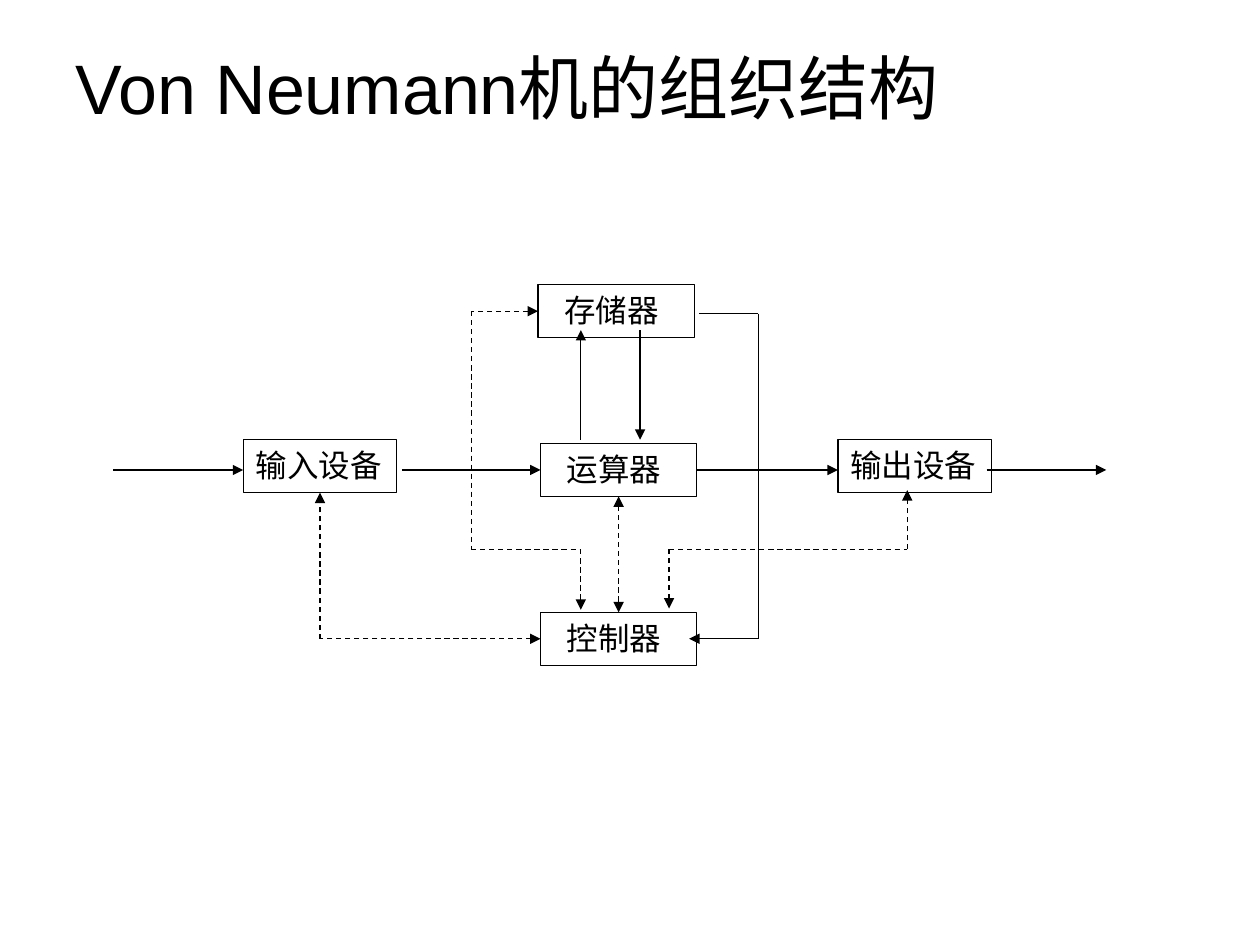
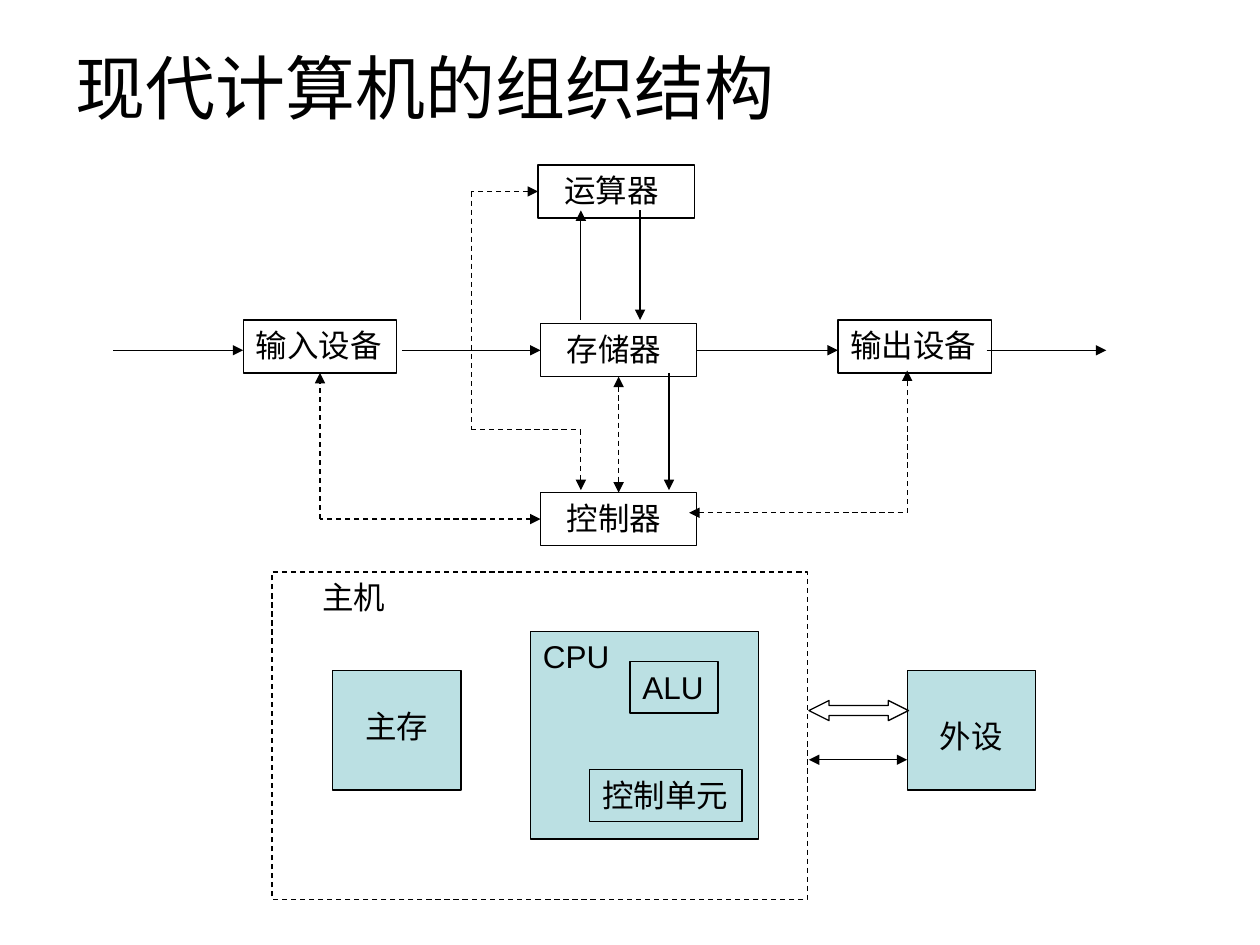
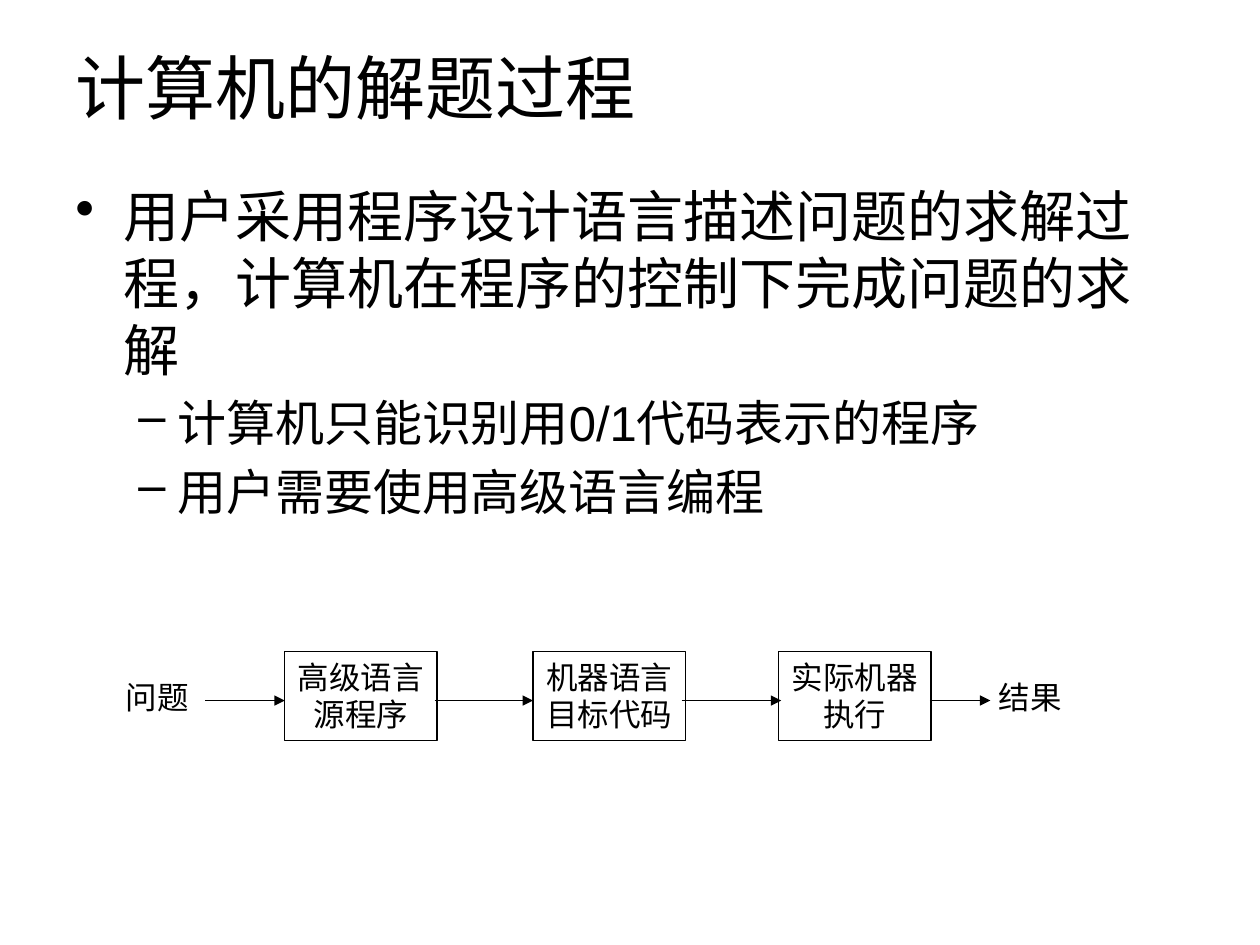
from dataclasses import dataclass

from lxml import etree
from pptx import Presentation
from pptx.dml.color import RGBColor
from pptx.enum.dml import MSO_LINE_DASH_STYLE as Dash
from pptx.enum.shapes import MSO_CONNECTOR as Connector, MSO_SHAPE as Shape
from pptx.enum.text import MSO_ANCHOR as Anchor, MSO_AUTO_SIZE as AutoSize, PP_ALIGN as Align
from pptx.oxml.ns import qn
from pptx.util import Inches, Pt


@dataclass(frozen=True)
class Theme:
    font: str = "Arial"
    ink: RGBColor = RGBColor(0x00, 0x00, 0x00)
    unit_fill: RGBColor = RGBColor(0xBB, 0xE0, 0xE3)
    title: int = 40
    body: int = 32
    sub_body: int = 28
    label: int = 18
    line: float = 0.75


THEME = Theme()
BOX_HEIGHT = 0.42


def write(frame, text, size=THEME.label, align=Align.LEFT, anchor=Anchor.TOP,
          left=0.1, right=0.0):
    """Put text into a frame, one paragraph for each line."""
    frame.word_wrap = True
    frame.auto_size = AutoSize.NONE
    frame.vertical_anchor = anchor
    frame.margin_left, frame.margin_right = Inches(left), Inches(right)
    frame.text = text
    for paragraph in frame.paragraphs:
        paragraph.alignment = align
        paragraph.font.name = THEME.font
        paragraph.font.size = Pt(size)
        paragraph.font.color.rgb = THEME.ink


class Deck:
    """Holds the style, the presentation and the current slide."""

    def __init__(self, theme):
        self.theme = theme
        self.prs = Presentation()
        self.prs.slide_width, self.prs.slide_height = Inches(10), Inches(7.5)

    def new_slide(self, title):
        self.slide = self.prs.slides.add_slide(self.prs.slide_layouts[5])
        self.boxes = []
        heading = self.slide.shapes.title
        heading.left, heading.top = Inches(0.5), Inches(0.3)
        heading.width, heading.height = Inches(9), Inches(0.77)
        write(heading.text_frame, title, size=self.theme.title,
              anchor=Anchor.MIDDLE, right=0.1)

    def outline(self, line, dashed=False):
        line.color.rgb = self.theme.ink
        line.width = Pt(self.theme.line)
        if dashed:
            line.dash_style = Dash.DASH

    def box(self, x, y, w, h, text="", kind=Shape.RECTANGLE, fill=None, dashed=False, **fmt):
        shape = self.slide.shapes.add_shape(kind, *map(Inches, (x, y, w, h)))
        shape.shadow.inherit = False
        if fill is None:
            shape.fill.background()
        else:
            shape.fill.solid()
            shape.fill.fore_color.rgb = fill
        self.outline(shape.line, dashed)
        if text:
            write(shape.text_frame, text, **fmt)
        if kind == Shape.RECTANGLE:
            self.boxes.append((shape, x, y, w, h))
        return shape

    def label(self, x, y, text, w=0.75, h=0.4):
        frame = self.slide.shapes.add_textbox(*map(Inches, (x, y, w, h))).text_frame
        write(frame, text)

    def bullets(self, x, y, w, h, items):
        """Each item is (text, size, bullet, text indent, hanging indent)."""
        frame = self.slide.shapes.add_textbox(*map(Inches, (x, y, w, h))).text_frame
        write(frame, "\n".join(item[0] for item in items), right=0.1)
        for i, (paragraph, item) in enumerate(zip(frame.paragraphs, items)):
            _, size, mark, indent, hanging = item
            props = paragraph._p.get_or_add_pPr()
            props.set("marL", str(Inches(indent)))
            props.set("indent", str(-Inches(hanging)))
            bullet = etree.Element(qn("a:buChar"), char=mark)
            props.insert_element_before(bullet, "a:tabLst", "a:defRPr", "a:extLst")
            paragraph.font.size = Pt(size)
            if i:
                paragraph.space_before = Pt(size * 0.2)

    def glue(self, connect, point):
        """Join a line end to a box when it meets the middle of a side."""
        for shape, x, y, w, h in self.boxes:
            middles = ((x + w / 2, y), (x, y + h / 2), (x + w / 2, y + h), (x + w, y + h / 2))
            for site, middle in enumerate(middles):
                if all(abs(a - b) < 0.011 for a, b in zip(point, middle)):
                    connect(shape, site)

    def route(self, *points, dashed=False, head=False, tail=True):
        """Straight segments through the points, arrowheads at the outer ends."""
        last = len(points) - 2
        for i, (start, end) in enumerate(zip(points, points[1:])):
            segment = self.slide.shapes.add_connector(
                Connector.STRAIGHT, *map(Inches, (*start, *end)))
            self.outline(segment.line, dashed)
            line = segment.line._get_or_add_ln()
            if head and i == 0:
                etree.SubElement(line, qn("a:headEnd"), type="triangle")
            if tail and i == last:
                etree.SubElement(line, qn("a:tailEnd"), type="triangle")
            etree.SubElement(segment._element.spPr, qn("a:effectLst"))
            self.glue(segment.begin_connect, start)
            self.glue(segment.end_connect, end)


def draw_machine(deck, top, upper, centre):
    """The five units and the links that both machine designs share."""
    def unit(x, y, text, w=1.24, left=0.21):
        deck.box(x, top + y, w, BOX_HEIGHT, text, left=left)

    def link(*points, **fmt):
        deck.route(*((x, top + y) for x, y in points), **fmt)

    unit(4.27, 0, upper)
    unit(4.29, 1.26, centre)
    unit(4.29, 2.6, "控制器")
    unit(1.93, 1.23, "输入设备", w=1.22, left=0.1)
    unit(6.65, 1.23, "输出设备", w=1.22, left=0.1)
    # Data flow
    for start, end in ((0.9, 1.93), (3.19, 4.29), (5.53, 6.65), (7.83, 8.78)):
        link((start, 1.47), (end, 1.47))
    link((4.61, 1.23), (4.61, 0.36))
    link((5.08, 0.36), (5.08, 1.23))
    # Control flow
    link((4.27, 0.21), (3.74, 0.21), (3.74, 2.1), (4.61, 2.1), (4.61, 2.58),
         dashed=True, head=True)
    link((4.91, 1.68), (4.91, 2.6), dashed=True, head=True)
    link((4.29, 2.81), (2.54, 2.81), (2.54, 1.65), dashed=True, head=True)
    return link


def von_neumann_slide(deck):
    deck.new_slide("Von Neumann机的组织结构")
    link = draw_machine(deck, 2.26, "存储器", "运算器")
    link((5.55, 0.23), (6.02, 0.23), (6.02, 2.81), (5.47, 2.81))
    link((5.31, 2.57), (5.31, 2.1), (7.2, 2.1), (7.2, 1.63), dashed=True, head=True)


def modern_slide(deck):
    deck.new_slide("现代计算机的组织结构")
    link = draw_machine(deck, 1.31, "运算器", "存储器")
    link((5.31, 1.65), (5.31, 2.58))
    link((5.47, 2.76), (7.2, 2.76), (7.2, 1.63), dashed=True, head=True)
    # Host with main memory and CPU
    fill = deck.theme.unit_fill
    deck.box(4.21, 5.01, 1.81, 1.65, fill=fill)
    deck.box(2.64, 5.32, 1.02, 0.95, fill=fill)
    deck.label(2.8, 5.56, "主存")
    deck.box(5, 5.25, 0.7, 0.41, "ALU")
    deck.box(4.68, 6.11, 1.21, 0.41, "控制单元")
    deck.box(2.16, 4.54, 4.25, 2.6, dashed=True)
    deck.label(2.46, 4.54, "主机")
    deck.label(4.21, 5.01, "CPU")
    # Peripherals
    deck.box(7.2, 5.32, 1.02, 0.95, fill=fill)
    deck.label(7.36, 5.64, "外设")
    deck.route((6.42, 6.03), (7.2, 6.03), head=True)
    bus = deck.box(6.42, 5.56, 0.79, 0.16, kind=Shape.LEFT_RIGHT_ARROW)
    bus.adjustments[0], bus.adjustments[1] = 0.5, 1.0


def solving_slide(deck):
    deck.new_slide("计算机的解题过程")
    theme = deck.theme
    deck.bullets(0.5, 1.39, 9, 3.2, [
        ("用户采用程序设计语言描述问题的求解过程，计算机在程序的控制下完成问题的求解",
         theme.body, "•", 0.38, 0.38),
        ("计算机只能识别用0/1代码表示的程序", theme.sub_body, "–", 0.81, 0.31),
        ("用户需要使用高级语言编程", theme.sub_body, "–", 0.81, 0.31),
    ])
    # From problem to result
    stages = ((2.26, "高级语言\n源程序"), (4.23, "机器语言\n目标代码"), (6.18, "实际机器\n执行"))
    for x, text in stages:
        deck.box(x, 5.17, 1.21, 0.71, text, align=Align.CENTER, left=0.05, right=0.05)
    deck.label(0.9, 5.33, "问题")
    deck.label(7.83, 5.33, "结果")
    for start, end in ((1.63, 2.26), (3.45, 4.23), (5.41, 6.2), (7.38, 7.86)):
        deck.route((start, 5.56), (end, 5.56))


def main():
    deck = Deck(THEME)
    von_neumann_slide(deck)
    modern_slide(deck)
    solving_slide(deck)
    deck.prs.save("out.pptx")


if __name__ == "__main__":
    main()
